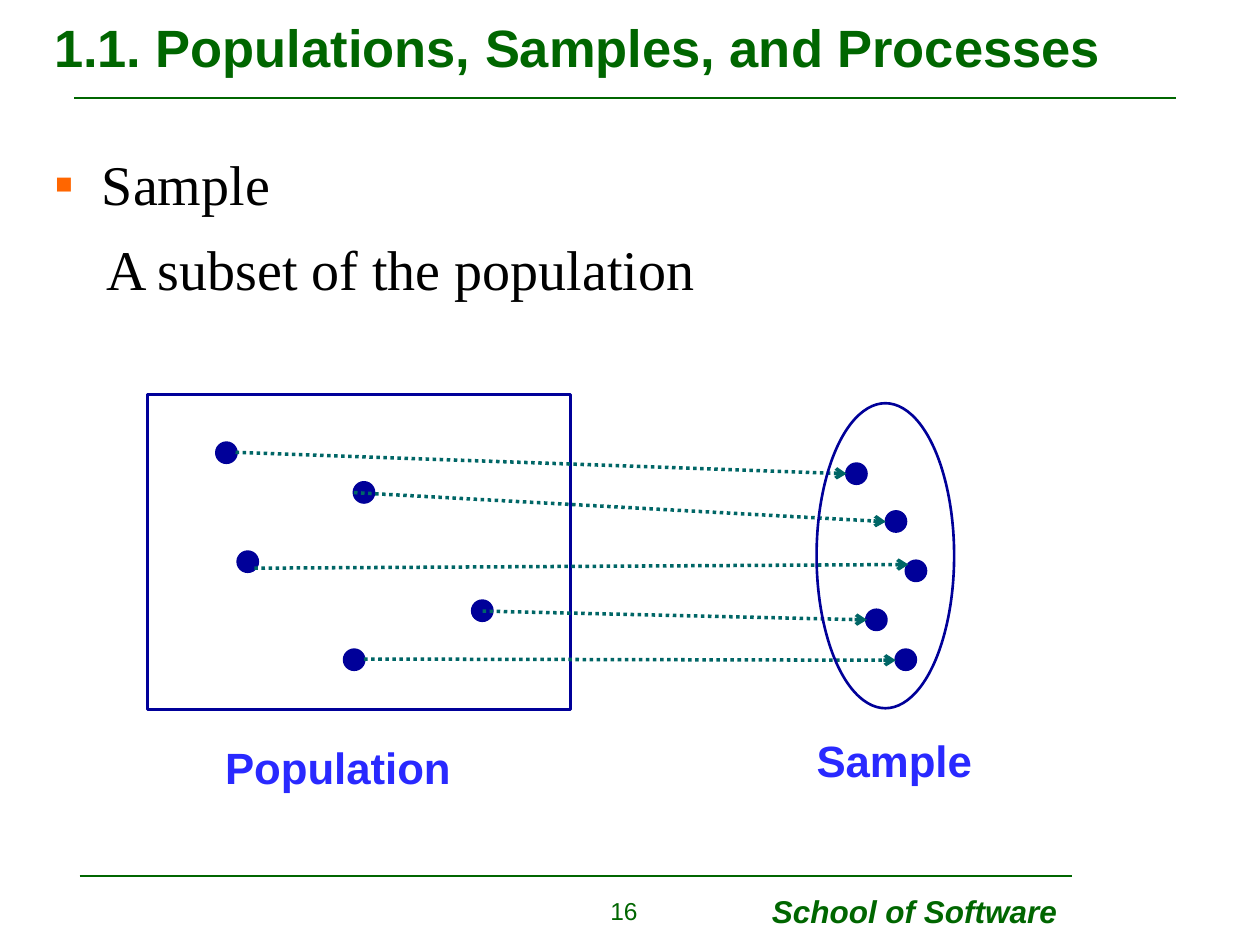
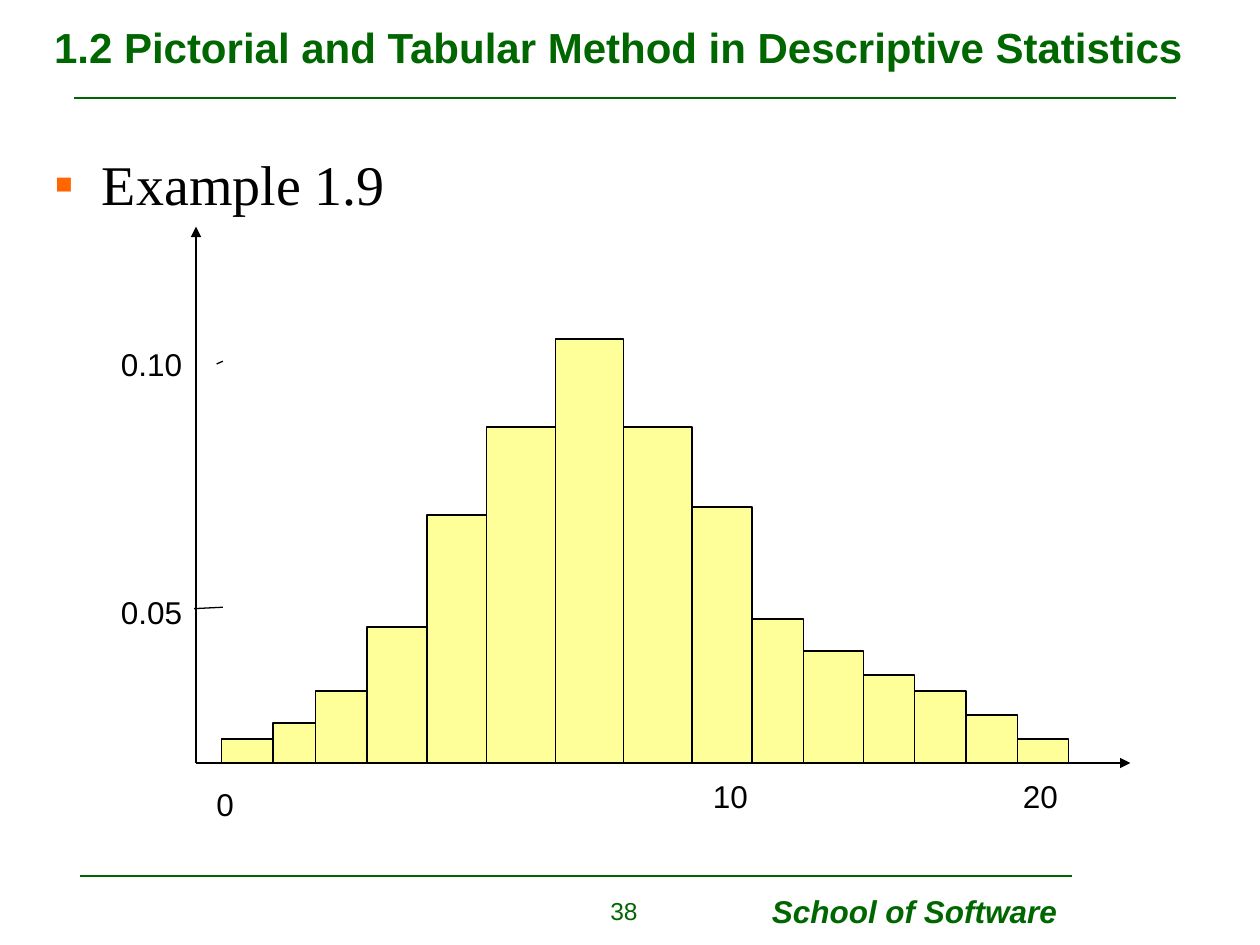
from lxml import etree
from pptx import Presentation
from pptx.dml.color import RGBColor
from pptx.enum import dml, shapes, text
from pptx.oxml.ns import qn
from pptx.util import Pt

GREEN = RGBColor(0x00, 0x66, 0x00)
ORANGE = RGBColor(0xFF, 0x66, 0x00)
NAVY = RGBColor(0x00, 0x00, 0x99)
BLUE = RGBColor(0x29, 0x29, 0xFF)
TEAL = RGBColor(0x00, 0x66, 0x66)
YELLOW = RGBColor(0xFF, 0xFF, 0x99)
BLACK = RGBColor(0x00, 0x00, 0x00)

FOOTER = "School of Software"
RULES = [((42.5, 56), (672, 56)), ((45.5, 500.5), (612.5, 500.5))]

SAMPLE_SLIDE = {
    "title": "1.1. Populations, Samples, and Processes",
    "title_size": 30,
    "number": "16",
    "bullet": "Sample",
    "detail": "A subset of the population",
}
HISTOGRAM_SLIDE = {
    "title": "1.2 Pictorial and Tabular Method in Descriptive Statistics",
    "title_size": 24,
    "number": "38",
    "bullet": "Example 1.9",
}

POPULATION_BOX = (84.2, 225.4, 242, 180)
SAMPLE_OVAL = (466.6, 230.4, 78.6, 174.3)
SET_LABELS = [("Population", 121.5, 420), ("Sample", 459.5, 416)]
DOT = 11.5
POPULATION_DOTS = [(129.4, 258.7), (208, 281.4), (141.6, 321), (275.6, 349), (202.4, 377)]
SAMPLE_DOTS = [(489.4, 270.7), (512, 298), (523.4, 326.2), (500.8, 354.2), (517.6, 377)]
ARROWS = [
    ((134.6, 258.5), (483.8, 270.7)),
    ((202.3, 281.5), (506.2, 298.1)),
    ((145.4, 324.7), (519.1, 322.6)),
    ((275.8, 349.2), (495.4, 354.2)),
    ((208.1, 376.6), (511.9, 377.3)),
]

AXIS_X, AXIS_Y = 112, 436
AXIS_ENDS = [(646, AXIS_Y), (AXIS_X, 129.5)]
FIRST_BAR_X = 126.6
WIDTH_UNIT, HEIGHT_UNIT = 4.89, 4.57
BAR_WIDTHS = [6, 5, 6, 7, 7, 8, 8, 8, 7, 6, 7, 6, 6, 6, 6]
BAR_HEIGHTS = [3, 5, 9, 17, 31, 42, 53, 42, 32, 18, 14, 11, 9, 6, 3]
AXIS_LABELS = [
    ("0", 116.6, 445),
    ("10", 400.3, 440.6),
    ("20", 577.4, 440.6),
    ("0.05", 62, 335.5),
    ("0.10", 62, 193.7),
]
TICKS = [((123.8, 208), (127.4, 206.4)), ((111, 347.8), (127.4, 347))]


def add_text(s, words, box, size, color, **extra):
    tf = s.shapes.add_textbox(*map(Pt, box)).text_frame
    tf.word_wrap = True
    tf.margin_right = 0
    p = tf.paragraphs[0]
    format_run(p, words, size, color, **extra)
    return tf


def format_run(p, words, size, color, **extra):
    r = p.add_run()
    r.text = words
    r.font.color.rgb = color
    for name, value in {"name": "Arial", "size": Pt(size), **extra}.items():
        setattr(r.font, name, value)


def add_shape(s, kind, box, line, width, fill=None):
    sp = s.shapes.add_shape(kind, *map(Pt, box))
    sp.shadow.inherit = False
    if fill is None:
        sp.fill.background()
    else:
        sp.fill.solid()
        sp.fill.fore_color.rgb = fill
    sp.line.color.rgb = line
    sp.line.width = Pt(width)


def add_line(s, start, end, color, width, head=None, dash=None):
    c = s.shapes.add_connector(shapes.MSO_CONNECTOR.STRAIGHT, *map(Pt, start + end))
    c.line.color.rgb = color
    c.line.width = Pt(width)
    if dash:
        c.line.dash_style = dash
    if head:
        etree.SubElement(c.line._get_or_add_ln(), qn("a:tailEnd"), type=head)
    etree.SubElement(c._element.spPr, qn("a:effectLst"))


def set_indent(p, left, first):
    pPr = p._p.get_or_add_pPr()
    pPr.set("marL", str(Pt(left)))
    pPr.set("indent", str(Pt(first)))
    return pPr


def add_bullet(p):
    pPr = set_indent(p, 27.4, -27.4)
    color = etree.SubElement(pPr, qn("a:buClr"))
    etree.SubElement(color, qn("a:srgbClr"), val=str(ORANGE))
    etree.SubElement(pPr, qn("a:buFont"), typeface="Arial")
    etree.SubElement(pPr, qn("a:buChar"), char="▪")


def add_slide(prs, content):
    s = prs.slides.add_slide(prs.slide_layouts[6])
    for start, end in RULES:
        add_line(s, start, end, GREEN, 1.5)
    add_text(s, FOOTER, (434, 506, 180, 29), 18, GREEN, bold=True, italic=True)
    tf = add_text(s, content["number"], (298, 508.3, 66.3, 26), 14, GREEN)
    tf.paragraphs[0].alignment = text.PP_ALIGN.RIGHT
    tf = add_text(s, content["title"], (23.8, 2.2, 672.5, 49), content["title_size"], GREEN, bold=True)
    tf.vertical_anchor = text.MSO_ANCHOR.MIDDLE
    tf = add_text(s, content["bullet"], (23.8, 82, 672.5, 412), 32, BLACK, name="Times New Roman")
    add_bullet(tf.paragraphs[0])
    if "detail" in content:
        p = tf.add_paragraph()
        set_indent(p, 30, 0)
        p.space_before = Pt(10)
        format_run(p, content["detail"], 32, BLACK, name="Times New Roman")
    return s


def draw_sampling(s):
    oval = shapes.MSO_SHAPE.OVAL
    add_shape(s, shapes.MSO_SHAPE.RECTANGLE, POPULATION_BOX, NAVY, 1.5)
    for x, y in POPULATION_DOTS + SAMPLE_DOTS:
        add_shape(s, oval, (x - DOT / 2, y - DOT / 2, DOT, DOT), NAVY, 1.5, NAVY)
    for start, end in ARROWS:
        add_line(s, start, end, TEAL, 2, "arrow", dml.MSO_LINE.ROUND_DOT)
    add_shape(s, oval, SAMPLE_OVAL, NAVY, 1.5)
    for words, x, y in SET_LABELS:
        add_text(s, words, (x, y, 143, 37), 25, BLUE, bold=True)


def draw_histogram(s):
    for end in AXIS_ENDS:
        add_line(s, (AXIS_X, AXIS_Y), end, BLACK, 0.75, "triangle")
    x = FIRST_BAR_X
    for columns, rows in zip(BAR_WIDTHS, BAR_HEIGHTS):
        width, height = columns * WIDTH_UNIT, rows * HEIGHT_UNIT
        add_shape(s, shapes.MSO_SHAPE.RECTANGLE, (x, AXIS_Y - height, width, height), BLACK, 0.75, YELLOW)
        x += width
    for words, left, top in AXIS_LABELS:
        add_text(s, words, (left, top, 62, 29), 18, BLACK)
    for start, end in TICKS:
        add_line(s, start, end, BLACK, 0.75)


def main():
    prs = Presentation()
    prs.slide_width, prs.slide_height = Pt(720), Pt(540)
    draw_sampling(add_slide(prs, SAMPLE_SLIDE))
    draw_histogram(add_slide(prs, HISTOGRAM_SLIDE))
    prs.save("out.pptx")


if __name__ == "__main__":
    main()
